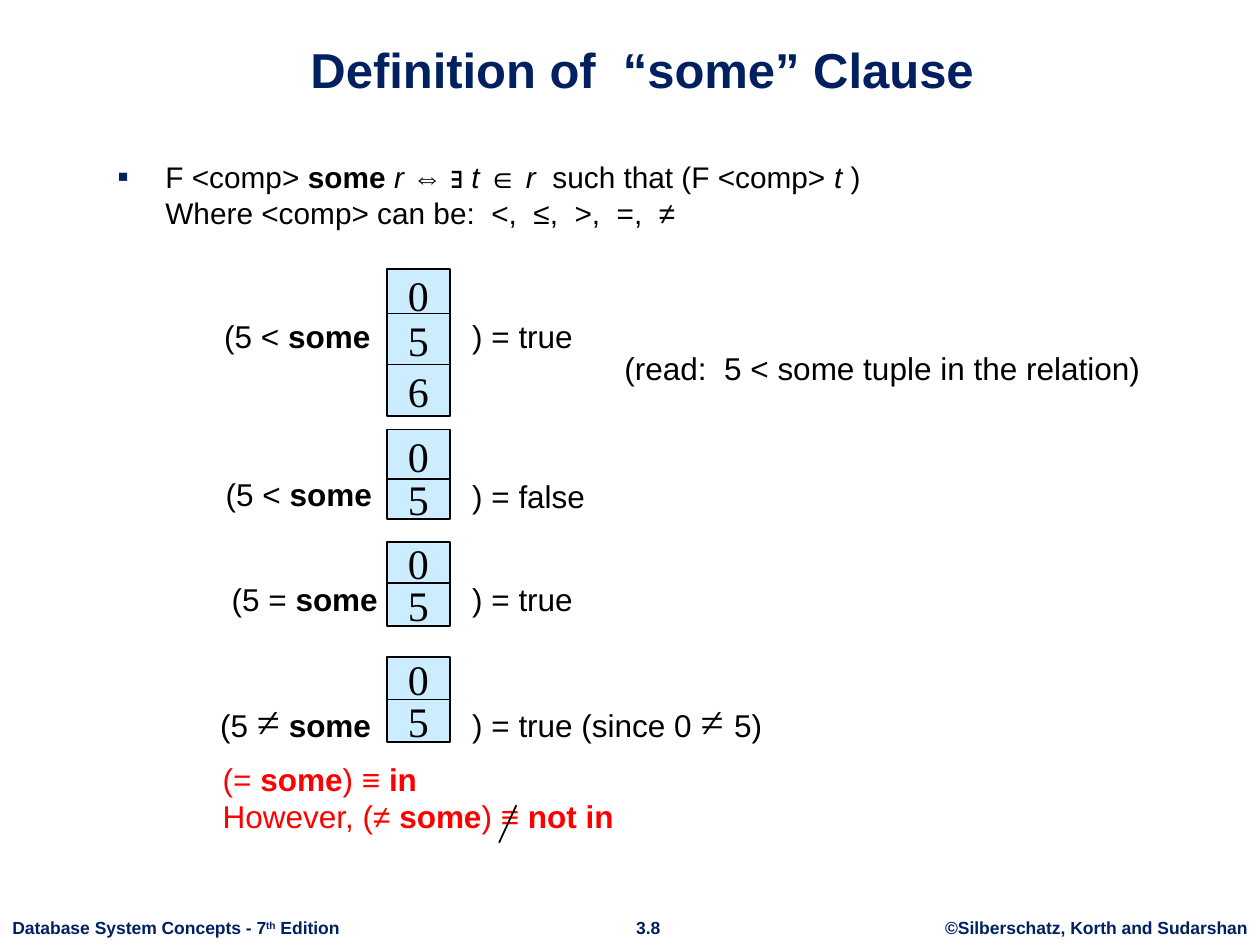
from dataclasses import dataclass

import pptx
import pptx.dml.color
import pptx.enum.shapes
import pptx.enum.text
import pptx.oxml
import pptx.oxml.ns
import pptx.util
from pptx.util import Cm

COLORS = {"navy": "002060", "black": "000000", "red": "FF0000", "cell": "CCECFF"}
CELL_LEFT, CELL_WIDTH = 7.8, 1.27
RESULT_LEFT = 9.27
Align = pptx.enum.text.PP_ALIGN
AutoSize = pptx.enum.text.MSO_AUTO_SIZE


@dataclass
class Run:
    text: str
    bold: bool = False
    italic: bool = False
    size: float = 18
    font: str = "Arial"
    color: str = "black"
    superscript: bool = False


@dataclass
class Label:
    left: float
    top: float
    width: float
    height: float
    runs: list[Run]


@dataclass
class Cell:
    top: float
    height: float
    value: str


def rgb(name: str) -> pptx.dml.color.RGBColor:
    return pptx.dml.color.RGBColor.from_string(COLORS[name])


def add_runs(p, runs: list[Run]) -> None:
    """Append runs to a paragraph; a newline in a run becomes a line break."""
    for run in runs:
        for i, line in enumerate(run.text.split("\n")):
            if i:
                p.add_line_break()
            r = p.add_run()
            r.text = line
            r.font.name = run.font
            r.font.size = pptx.util.Pt(run.size)
            r.font.bold = run.bold
            r.font.italic = run.italic
            r.font.color.rgb = rgb(run.color)
            if run.superscript:
                r._r.get_or_add_rPr().set("baseline", "30000")


def place(sp, left: float, top: float, width: float, height: float) -> None:
    sp.left, sp.top, sp.width, sp.height = Cm(left), Cm(top), Cm(width), Cm(height)


def add_label(s, label: Label, wrap: bool = True, align=Align.LEFT):
    sp = s.shapes.add_textbox(Cm(label.left), Cm(label.top), Cm(label.width), Cm(label.height))
    tf = sp.text_frame
    tf.word_wrap = wrap
    tf.auto_size = AutoSize.SHAPE_TO_FIT_TEXT
    p = tf.paragraphs[0]
    p.alignment = align
    add_runs(p, label.runs)
    return sp


def add_cell(s, cell: Cell) -> None:
    sp = s.shapes.add_shape(pptx.enum.shapes.MSO_SHAPE.RECTANGLE, Cm(CELL_LEFT), Cm(cell.top),
                            Cm(CELL_WIDTH), Cm(cell.height))
    sp.shadow.inherit = False
    sp.fill.solid()
    sp.fill.fore_color.rgb = rgb("cell")
    sp.line.color.rgb = rgb("black")
    sp.line.width = pptx.util.Pt(1)
    tf = sp.text_frame
    tf.word_wrap = False
    tf.vertical_anchor = pptx.enum.text.MSO_ANCHOR.MIDDLE
    p = tf.paragraphs[0]
    p.alignment = Align.CENTER
    add_runs(p, [Run(cell.value, size=24, font="Times New Roman")])


def add_square_bullet(p) -> None:
    pPr = p._p.get_or_add_pPr()
    pPr.set("marL", str(Cm(0.97)))
    pPr.set("indent", str(-Cm(0.97)))
    ns = pptx.oxml.ns.nsdecls("a")
    for xml in (f'<a:buClr {ns}><a:srgbClr val="{COLORS["navy"]}"/></a:buClr>',
                f'<a:buSzPct {ns} val="110000"/>',
                f'<a:buFont {ns} typeface="Arial"/>',
                f'<a:buChar {ns} char="▪"/>'):
        pPr.append(pptx.oxml.parse_xml(xml))


def add_strike(s, x1: float, y1: float, x2: float, y2: float) -> None:
    c = s.shapes.add_connector(pptx.enum.shapes.MSO_CONNECTOR.STRAIGHT,
                               Cm(x1), Cm(y1), Cm(x2), Cm(y2))
    c.line.color.rgb = rgb("black")
    c.line.width = pptx.util.Pt(1)
    ns = pptx.oxml.ns.nsdecls("a")
    c._element.spPr.append(pptx.oxml.parse_xml(f"<a:effectLst {ns}/>"))


def footer(text: str, superscript: bool = False) -> Run:
    return Run(text, bold=True, size=10, color="navy", superscript=superscript)


def red(text: str, bold: bool = False) -> Run:
    return Run(text, bold=bold, color="red")


SOME = Run("some", bold=True)
NOT_EQUAL = Run("≠", size=24, font="Times New Roman")

FOOTERS = [
    (Label(18.8, 18.36, 6.6, 0.69, [footer("©Silberschatz, Korth and Sudarshan")]), Align.CENTER),
    (Label(12.45, 18.36, 1.24, 0.69, [footer("3.8")]), Align.CENTER),
    (Label(0, 18.36, 7.14, 0.69, [footer("Database System Concepts - 7"), footer("th", True),
                                  footer(" Edition")]), Align.LEFT),
]
DEFINITION = [
    Run("F <comp> ", size=17), Run("some ", bold=True, size=17),
    Run("r ", italic=True, size=17), Run("⇔ ∃ ", size=17),
    Run("t ", italic=True, size=17), Run("∈", size=17),
    Run(" r  ", italic=True, size=17), Run("such that (F <comp> ", size=17),
    Run("t ", italic=True, size=17),
    Run(")\nWhere <comp> can be:  <,  ≤,  >,  =,  ≠", size=17),
]
CELLS = [
    Cell(5.43, 1.04, "0"), Cell(6.32, 1.04, "5"), Cell(7.35, 1.04, "6"),
    Cell(8.66, 1.07, "0"), Cell(9.65, 0.81, "5"),
    Cell(10.92, 0.86, "0"), Cell(11.76, 0.86, "5"),
    Cell(13.25, 0.86, "0"), Cell(14.1, 0.86, "5"),
]
LABELS = [
    Label(4.27, 6.27, 3.76, 1.02, [Run("(5 < "), SOME]),
    Label(RESULT_LEFT, 6.27, 2.54, 1.02, [Run(") = true")]),
    Label(12.34, 6.91, 13.54, 1.02, [Run("(read:  5 < some tuple in the relation)")]),
    Label(4.3, 9.45, 3.84, 1.02, [Run("(5 < "), SOME]),
    Label(RESULT_LEFT, 9.5, 3.38, 1.02, [Run(") = false")]),
    Label(4.42, 11.57, 4.24, 1.02, [Run("(5 = "), SOME]),
    Label(RESULT_LEFT, 11.56, 3.38, 1.02, [Run(") = true")]),
    Label(4.19, 13.89, 4.01, 1.27, [Run("(5 "), NOT_EQUAL, Run(" "), SOME]),
    Label(RESULT_LEFT, 13.89, 6.99, 1.27,
          [Run(") = true (since 0 "), NOT_EQUAL, Run(" ", size=24, font="Times New Roman"),
           Run("5)")]),
]
EQUIVALENCE = Label(4.24, 15.19, 18.9, 1.98,
                    [red("(= "), red("some", True), red(") ≡ "), red("in", True)])
NON_EQUIVALENCE = [red("However, (≠ "), red("some", True), red(") ≡ "), red("not in", True)]


def main() -> None:
    prs = pptx.Presentation()
    prs.slide_width, prs.slide_height = Cm(25.4), Cm(19.05)
    s = prs.slides.add_slide(prs.slide_layouts[1])

    title, body = s.shapes.title, s.placeholders[1]
    place(title, 1.73, 0.41, 22.43, 1.7)
    title.text_frame.auto_size = AutoSize.NONE
    title.text_frame.vertical_anchor = pptx.enum.text.MSO_ANCHOR.BOTTOM
    p = title.text_frame.paragraphs[0]
    p.alignment = Align.CENTER
    add_runs(p, [Run("Definition of  “some” Clause", bold=True, size=28, color="navy")])

    place(body, 2.11, 3.07, 18.9, 1.98)
    body.text_frame.auto_size = AutoSize.NONE
    p = body.text_frame.paragraphs[0]
    add_square_bullet(p)
    add_runs(p, DEFINITION)

    for label, align in FOOTERS:
        add_label(s, label, wrap=False, align=align)
    for cell in CELLS:
        add_cell(s, cell)
    for label in LABELS:
        add_label(s, label)
    conclusion = add_label(s, EQUIVALENCE)
    add_runs(conclusion.text_frame.add_paragraph(), NON_EQUIVALENCE)
    add_strike(s, 10.41, 16.23, 10.06, 16.99)

    prs.save("out.pptx")


if __name__ == "__main__":
    main()
